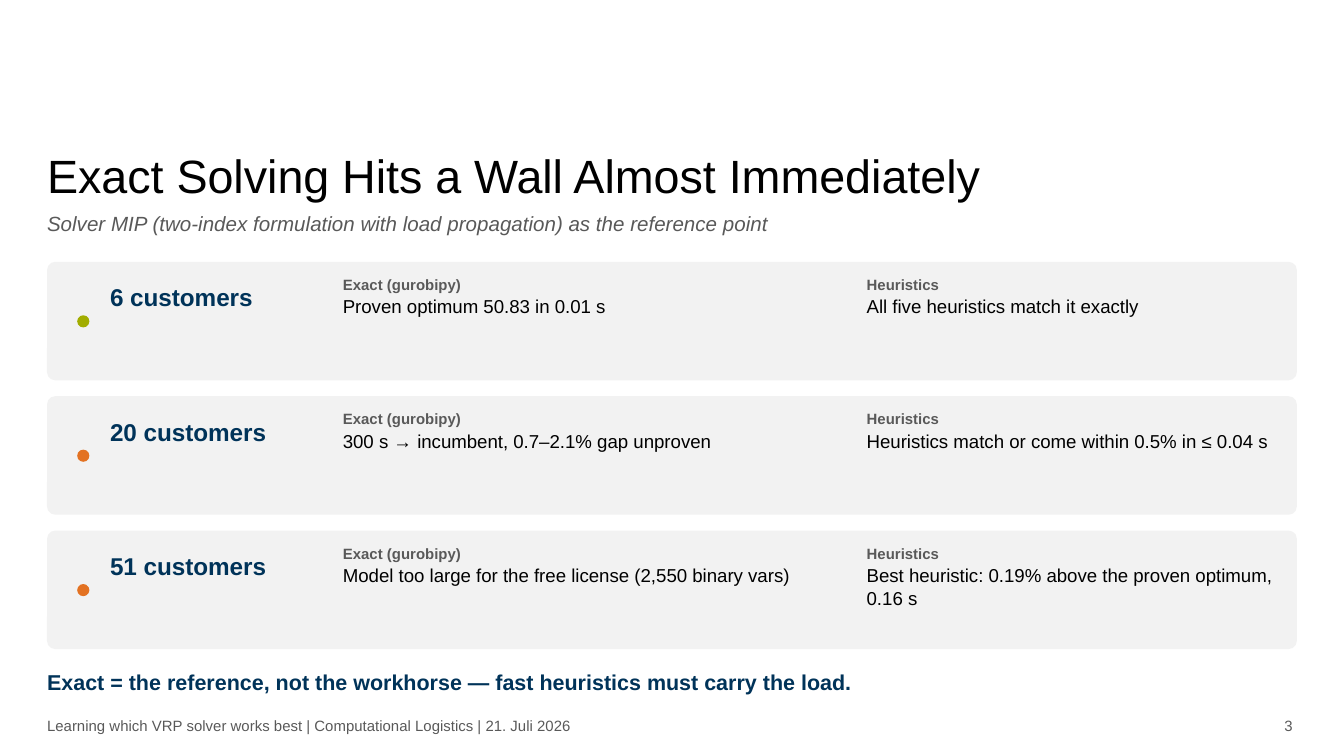
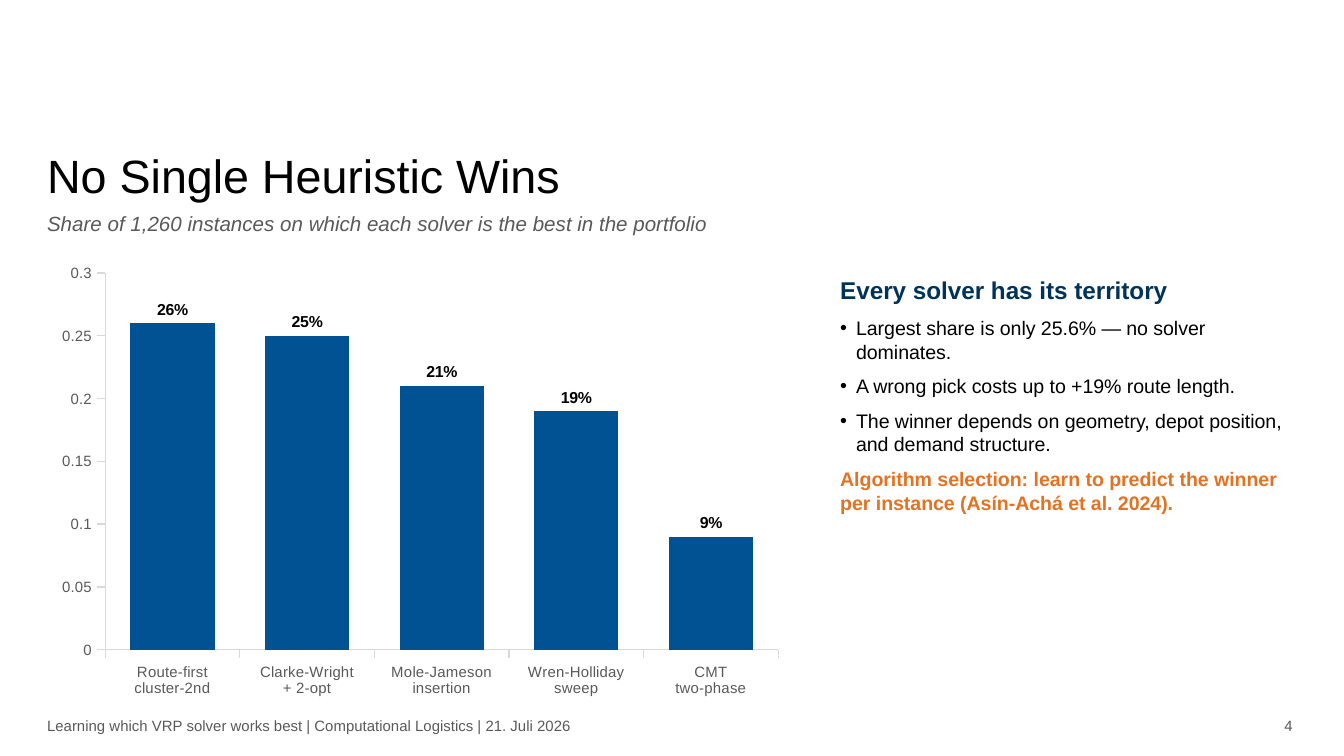
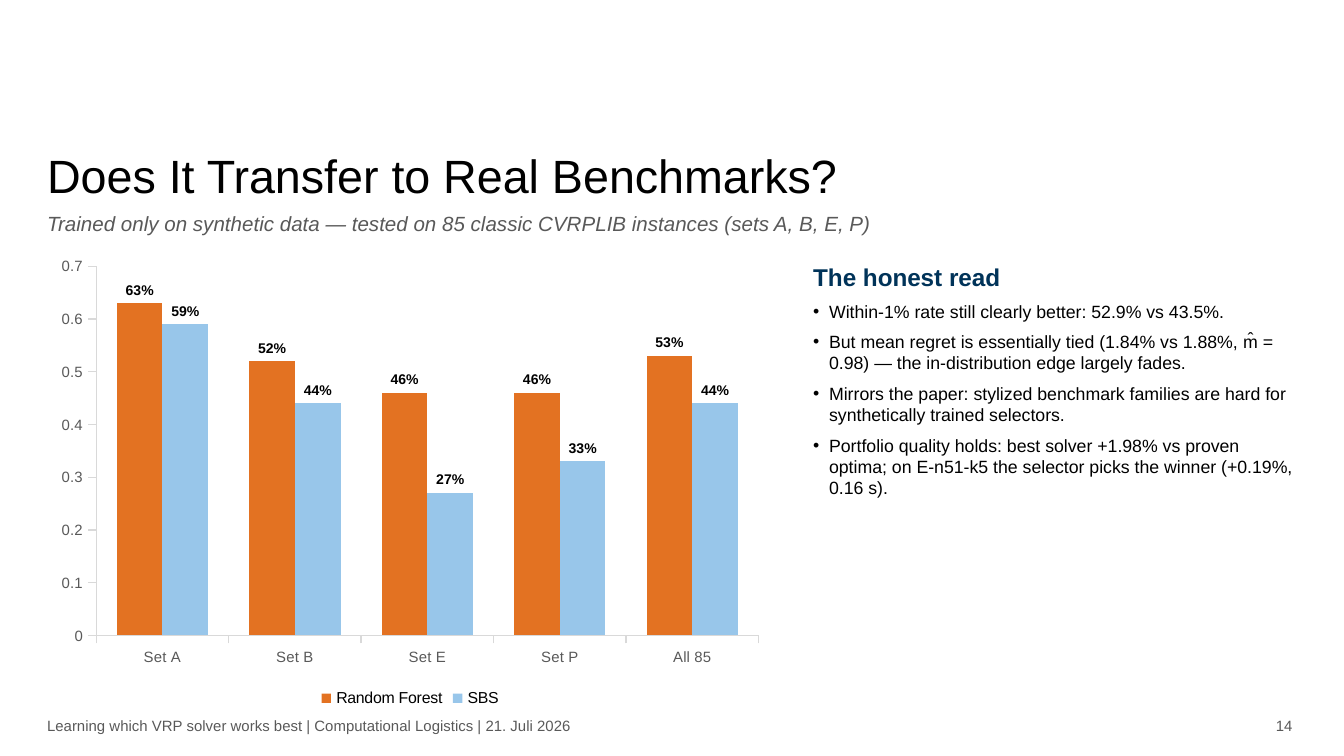
from lxml import etree
from pptx import Presentation
from pptx.chart.data import CategoryChartData
from pptx.dml.color import RGBColor
from pptx.enum.chart import XL_CHART_TYPE as ChartType
from pptx.enum.chart import XL_LABEL_POSITION as LabelPosition
from pptx.enum.chart import XL_LEGEND_POSITION as LegendPosition
from pptx.enum.chart import XL_TICK_MARK as TickMark
from pptx.enum.shapes import MSO_SHAPE as Shape
from pptx.enum.text import MSO_ANCHOR as Anchor
from pptx.enum.text import MSO_AUTO_SIZE as AutoSize
from pptx.enum.text import PP_ALIGN as Align
from pptx.oxml.ns import qn
from pptx.util import Cm, Pt

# Shared style
FONT = "Arial"
BLACK = RGBColor(0x00, 0x00, 0x00)
GREY = RGBColor(0x59, 0x59, 0x59)
AXIS_GREY = RGBColor(0xD9, 0xD9, 0xD9)
CARD_GREY = RGBColor(0xF2, 0xF2, 0xF2)
NAVY = RGBColor(0x00, 0x33, 0x59)
BLUE = RGBColor(0x00, 0x52, 0x93)
LIGHT_BLUE = RGBColor(0x98, 0xC6, 0xEA)
ORANGE = RGBColor(0xE3, 0x72, 0x22)
GREEN = RGBColor(0xA2, 0xAD, 0x00)

MARGIN = 0.89
CONTENT_WIDTH = 23.62
BULLET_INDENT = Cm(0.3)
FOOTER = "Learning which VRP solver works best | Computational Logistics | 21. Juli 2026"


# Text
def style_font(font, size, color=BLACK, bold=False, italic=False):
    font.name = FONT
    font.size = Pt(size)
    font.color.rgb = color
    font.bold = bold
    font.italic = italic


def set_bullet(para):
    properties = para._p.get_or_add_pPr()
    properties.set("marL", str(BULLET_INDENT))
    properties.set("indent", str(-BULLET_INDENT))
    etree.SubElement(properties, qn("a:buFont"), typeface=FONT)
    etree.SubElement(properties, qn("a:buChar"), char="•")


def write(frame, text, size, color=BLACK, bold=False, italic=False,
          after=0, align=Align.LEFT, line=None, bullet=False):
    """Fill the empty first paragraph of the frame, or add another one."""
    para = frame.paragraphs[0]
    if para.runs:
        para = frame.add_paragraph()
    if bullet:
        set_bullet(para)
    para.alignment = align
    para.space_after = Pt(after)
    if line:
        para.line_spacing = Pt(line)
    span = para.add_run()
    span.text = text
    style_font(span.font, size, color, bold, italic)


def place(item, left, top, width, height):
    item.left, item.top, item.width, item.height = map(Cm, (left, top, width, height))


def prepare_frame(frame):
    frame.word_wrap = True
    frame.auto_size = AutoSize.NONE
    frame.vertical_anchor = Anchor.TOP
    frame.margin_left = frame.margin_right = 0
    frame.margin_top = frame.margin_bottom = 0
    return frame


def add_box(page, left, top, width, height):
    box = page.shapes.add_textbox(Cm(left), Cm(top), Cm(width), Cm(height))
    return prepare_frame(box.text_frame)


# Slide frame: title, subtitle, footer
def add_page(deck, title, subtitle, number):
    page = deck.slides.add_slide(deck.slide_layouts[5])
    place(page.shapes.title, MARGIN, 2.7, CONTENT_WIDTH, 1.14)
    write(prepare_frame(page.shapes.title.text_frame), title, 25, line=32)
    write(add_box(page, MARGIN, 3.99, CONTENT_WIDTH, 0.76), subtitle, 11,
          color=GREY, italic=True, after=4)
    write(add_box(page, MARGIN, 13.54, 17.27, 0.61), FOOTER, 8, color=GREY)
    write(add_box(page, 22.86, 13.54, 1.57, 0.61), str(number), 8,
          color=GREY, align=Align.RIGHT)
    return page


# Cards
def add_filled(page, kind, left, top, width, height, color):
    shape = page.shapes.add_shape(kind, Cm(left), Cm(top), Cm(width), Cm(height))
    shape.shadow.inherit = False
    shape.fill.solid()
    shape.fill.fore_color.rgb = color
    shape.line.fill.background()
    return shape


def add_card(page, top, dot_color, name, exact, heuristics):
    card = add_filled(page, Shape.ROUNDED_RECTANGLE, MARGIN, top,
                      CONTENT_WIDTH, 2.24, CARD_GREY)
    card.adjustments[0] = 0.07
    add_filled(page, Shape.OVAL, 1.46, top + 1.01, 0.23, 0.23, dot_color)
    write(add_box(page, 2.08, top + 0.39, 3.94, 1.52), name, 13, color=NAVY, bold=True)
    columns = [(6.48, 9.4, "Exact (gurobipy)", exact),
               (16.38, 7.75, "Heuristics", heuristics)]
    for left, width, label, finding in columns:
        frame = add_box(page, left, top + 0.26, width, 1.78)
        write(frame, label, 8, color=GREY, bold=True, after=1)
        write(frame, finding, 10)


# Heading with bullets beside a chart
def add_notes_column(page, area, heading, points, size, after):
    frame = add_box(page, *area)
    write(frame, heading, 13, color=NAVY, bold=True, after=after)
    for point in points:
        write(frame, point, size, after=after, bullet=True)
    return frame


# Column chart
def style_axis(axis):
    axis.has_major_gridlines = False
    axis.major_tick_mark = TickMark.OUTSIDE
    axis.minor_tick_mark = TickMark.NONE
    axis.format.line.color.rgb = AXIS_GREY
    axis.format.line.width = Pt(0.75)
    style_font(axis.tick_labels.font, 8, GREY)


def add_columns(page, area, categories, series, top_value, step, gap, label_size):
    """Draw clustered columns; series holds (name, colour, values) tuples."""
    data = CategoryChartData()
    data.categories = categories
    for name, _, values in series:
        data.add_series(name, values)
    chart = page.shapes.add_chart(ChartType.COLUMN_CLUSTERED,
                                  *map(Cm, area), data).chart
    style_font(chart.font, 8)
    chart.has_title = False
    chart.has_legend = len(series) > 1
    if chart.has_legend:
        chart.legend.position = LegendPosition.BOTTOM
        chart.legend.include_in_layout = False
        style_font(chart.legend.font, 8.5)

    style_axis(chart.category_axis)
    style_axis(chart.value_axis)
    chart.value_axis.minimum_scale = 0
    chart.value_axis.maximum_scale = top_value
    chart.value_axis.major_unit = step
    chart.value_axis.tick_labels.number_format = "General"
    chart.value_axis.tick_labels.number_format_is_linked = False

    plot = chart.plots[0]
    plot.gap_width = gap
    plot.overlap = 0
    plot.vary_by_categories = False
    for columns, (_, color, _) in zip(plot.series, series):
        columns.format.fill.solid()
        columns.format.fill.fore_color.rgb = color
        labels = columns.data_labels
        labels.show_value = True
        labels.position = LabelPosition.OUTSIDE_END
        labels.number_format = "0%"
        labels.number_format_is_linked = False
        style_font(labels.font, label_size, bold=True)


# Slides
def build_exact_page(deck):
    page = add_page(deck, "Exact Solving Hits a Wall Almost Immediately",
                    "Solver MIP (two-index formulation with load propagation) "
                    "as the reference point", 3)
    cards = [
        (GREEN, "6 customers", "Proven optimum 50.83 in 0.01 s",
         "All five heuristics match it exactly"),
        (ORANGE, "20 customers", "300 s → incumbent, 0.7–2.1% gap unproven",
         "Heuristics match or come within 0.5% in ≤ 0.04 s"),
        (ORANGE, "51 customers", "Model too large for the free license (2,550 binary vars)",
         "Best heuristic: 0.19% above the proven optimum, 0.16 s"),
    ]
    for index, card in enumerate(cards):
        add_card(page, 4.95 + 2.54 * index, *card)
    write(add_box(page, MARGIN, 12.65, CONTENT_WIDTH, 0.89),
          "Exact = the reference, not the workhorse — fast heuristics must carry the load.",
          11.5, color=NAVY, bold=True)


def build_winners_page(deck):
    page = add_page(deck, "No Single Heuristic Wins",
                    "Share of 1,260 instances on which each solver is the best "
                    "in the portfolio", 4)
    solvers = ["Route-first\ncluster-2nd", "Clarke-Wright\n+ 2-opt",
               "Mole-Jameson\ninsertion", "Wren-Holliday\nsweep", "CMT\ntwo-phase"]
    add_columns(page, (MARGIN, 4.83, 14.1, 8.51), solvers,
                [("Series 1", BLUE, (0.26, 0.25, 0.21, 0.19, 0.09))],
                top_value=0.3, step=0.05, gap=60, label_size=8.5)
    points = ["Largest share is only 25.6% — no solver dominates.",
              "A wrong pick costs up to +19% route length.",
              "The winner depends on geometry, depot position, and demand structure."]
    frame = add_notes_column(page, (15.88, 5.21, 8.64, 8.13),
                             "Every solver has its territory", points, 10.5, 6)
    write(frame, "Algorithm selection: learn to predict the winner per instance "
          "(Asín-Achá et al. 2024).", 10.5, color=ORANGE, bold=True)


def build_transfer_page(deck):
    page = add_page(deck, "Does It Transfer to Real Benchmarks?",
                    "Trained only on synthetic data — tested on 85 classic CVRPLIB "
                    "instances (sets A, B, E, P)", 14)
    add_columns(page, (MARGIN, 4.7, 13.72, 8.76),
                ["Set A", "Set B", "Set E", "Set P", "All 85"],
                [("Random Forest", ORANGE, (0.63, 0.52, 0.46, 0.46, 0.53)),
                 ("SBS", LIGHT_BLUE, (0.59, 0.44, 0.27, 0.33, 0.44))],
                top_value=0.7, step=0.1, gap=90, label_size=7.5)
    points = ["Within-1% rate still clearly better: 52.9% vs 43.5%.",
              "But mean regret is essentially tied (1.84% vs 1.88%, m̂ = 0.98) — "
              "the in-distribution edge largely fades.",
              "Mirrors the paper: stylized benchmark families are hard for "
              "synthetically trained selectors.",
              "Portfolio quality holds: best solver +1.98% vs proven optima; on "
              "E-n51-k5 the selector picks the winner (+0.19%, 0.16 s)."]
    add_notes_column(page, (15.37, 4.95, 9.14, 8.38), "The honest read", points, 9.5, 5)


def main():
    deck = Presentation()
    deck.slide_width, deck.slide_height = Cm(25.4), Cm(14.29)
    build_exact_page(deck)
    build_winners_page(deck)
    build_transfer_page(deck)
    deck.save("out.pptx")


if __name__ == "__main__":
    main()
